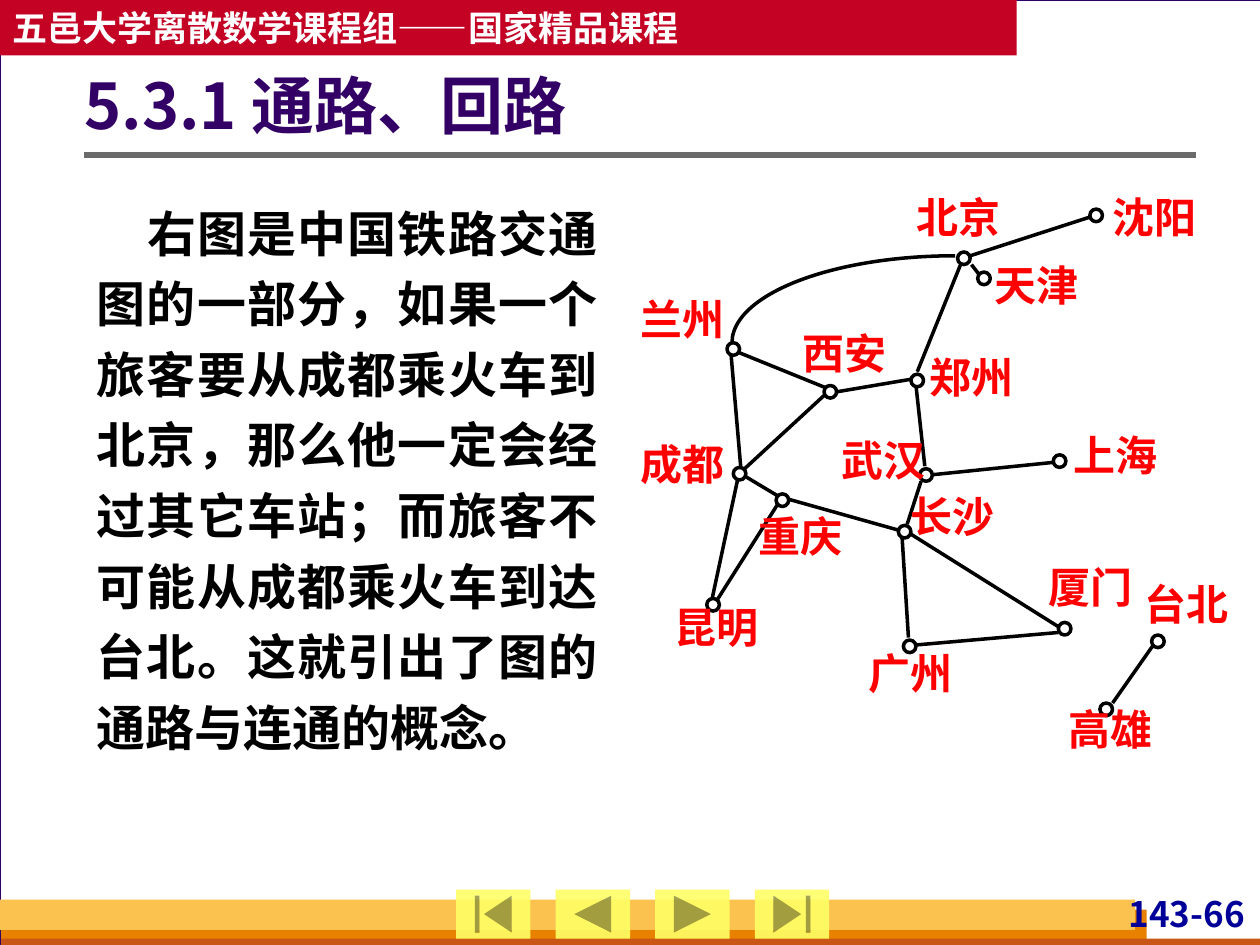
import lxml.etree
import pptx
import pptx.dml.color
import pptx.enum.shapes
import pptx.enum.text
import pptx.oxml.ns
import pptx.util

Inches = pptx.util.Inches
Pt = pptx.util.Pt
SHAPE = pptx.enum.shapes.MSO_SHAPE
ALIGN = pptx.enum.text.PP_ALIGN
ANCHOR = pptx.enum.text.MSO_ANCHOR
qn = pptx.oxml.ns.qn

COLORS = {
    "backdrop": "D8DADA", "white": "FFFFFF", "black": "000000",
    "purple": "330066", "banner": "C30224", "orange": "E88000",
    "rust": "C95616", "amber": "FCC24F", "navy": "000099",
    "rule": "6B6B6B", "button": "FFFF66", "city": "FF0000",
}


class SlidePainter:
    """Holds the shared style and the slide being drawn."""

    font = "Noto Sans CJK SC"
    node_size = 0.1
    route_width = 2

    def __init__(self, page):
        self.page = page

    def color(self, name):
        return pptx.dml.color.RGBColor.from_string(COLORS[name])

    def background(self, name):
        fill = self.page.background.fill
        fill.solid()
        fill.fore_color.rgb = self.color(name)

    def shape(self, kind, left, top, width, height, fill=None, line=None, weight=0.75):
        shape = self.page.shapes.add_shape(
            kind, Inches(left), Inches(top), Inches(width), Inches(height))
        shape.shadow.inherit = False
        if fill:
            shape.fill.solid()
            shape.fill.fore_color.rgb = self.color(fill)
        else:
            shape.fill.background()
        if line:
            shape.line.color.rgb = self.color(line)
            shape.line.width = Pt(weight)
        else:
            shape.line.fill.background()
        return shape

    def set_text(self, box, text, size, color, align=ALIGN.LEFT, anchor=ANCHOR.TOP,
                 margins=(0.1, 0.05, 0.1, 0.05), spacing=None, indent=0):
        frame = box.text_frame
        frame.word_wrap = True
        frame.vertical_anchor = anchor
        (frame.margin_left, frame.margin_top,
         frame.margin_right, frame.margin_bottom) = map(Inches, margins)
        para = frame.paragraphs[0]
        para.text = text
        para.alignment = align
        if spacing:
            para.line_spacing = spacing
        if indent:
            para._p.get_or_add_pPr().set("indent", str(Inches(indent)))
        para.font.size = Pt(size)
        para.font.bold = True
        para.font.color.rgb = self.color(color)
        para.font.name = self.font
        # East Asian glyphs need their own typeface entry
        east_asian = lxml.etree.SubElement(para._p.pPr.find(qn("a:defRPr")), qn("a:ea"))
        east_asian.set("typeface", self.font)

    def text(self, left, top, width, height, text, size, color, **style):
        box = self.page.shapes.add_textbox(
            Inches(left), Inches(top), Inches(width), Inches(height))
        self.set_text(box, text, size, color, **style)

    def line(self, x1, y1, x2, y2, color="black", weight=route_width):
        line = self.page.shapes.add_connector(
            pptx.enum.shapes.MSO_CONNECTOR.STRAIGHT,
            Inches(x1), Inches(y1), Inches(x2), Inches(y2))
        line.line.color.rgb = self.color(color)
        line.line.width = Pt(weight)
        lxml.etree.SubElement(line._element.spPr, qn("a:effectLst"))

    def button(self, kind, left):
        button = self.shape(kind, left, 7.06, 0.59, 0.39, "button")
        tint = button._element.spPr.find(qn("a:solidFill"))[0]
        lxml.etree.SubElement(tint, qn("a:alpha")).set("val", "90000")

    def node(self, left, top):
        self.shape(SHAPE.OVAL, left, top, self.node_size, self.node_size,
                   "white", "black", self.route_width)

    def city_label(self, name, left, top):
        self.text(left, top, 0.69, 0.49, name, 24, "city",
                  align=ALIGN.JUSTIFY, margins=(0, 0, 0, 0))

    def quarter_arc(self, left, top, width, height):
        arc = self.shape(SHAPE.ARC, left, top, width, height,
                         line="black", weight=self.route_width)
        # Angles in units of 0.6 per degree: 180 to 270 degrees
        arc.adjustments[0] = 108
        arc.adjustments[1] = 162


# City: (node left, node top), (label left, label top)
CITIES = {
    "成都": ((5.82, 3.71), (5.08, 3.48)),
    "重庆": ((6.16, 3.92), (6.02, 4.05)),
    "郑州": ((7.23, 2.97), (7.38, 2.79)),
    "西安": ((6.54, 3.06), (6.37, 2.6)),
    "北京": ((7.6, 2), (7.27, 1.52)),
    "长沙": ((7.13, 4.17), (7.23, 3.89)),
    "上海": ((8.36, 3.61), (8.52, 3.41)),
    "天津": ((7.76, 2.16), (7.89, 2.06)),
    "沈阳": ((8.65, 1.66), (8.83, 1.52)),
    "兰州": ((5.77, 2.72), (5.08, 2.33)),
    "广州": ((7.17, 5.08), (6.89, 5.14)),
    "昆明": ((5.61, 4.75), (5.35, 4.77)),
    "武汉": ((7.3, 3.72), (6.68, 3.45)),
    "厦门": ((8.4, 4.94), (8.32, 4.46)),
    "高雄": ((8.73, 5.58), (8.48, 5.58)),
    "台北": ((9.14, 5.04), (9.08, 4.59)),
}

# Railway sections: start x, start y, end x, end y
ROUTES = [
    (5.82, 2.78, 6.56, 3.08),  # 兰州–西安
    (5.88, 3.76, 6.18, 3.94),  # 成都–重庆
    (5.86, 3.78, 5.65, 4.76),  # 成都–昆明
    (6.18, 3.99, 5.68, 4.78),  # 重庆–昆明
    (6.55, 3.13, 5.91, 3.72),  # 西安–成都
    (5.8, 2.79, 5.88, 3.72),   # 兰州–成都
    (6.25, 3.96, 7.14, 4.21),  # 重庆–长沙
    (7.16, 4.27, 7.21, 5.06),  # 长沙–广州
    (6.64, 3.11, 7.23, 3.01),  # 西安–郑州
    (7.27, 3.06, 7.34, 3.7),   # 郑州–武汉
    (7.31, 3.82, 7.2, 4.16),   # 武汉–长沙
    (7.38, 3.77, 8.36, 3.67),  # 武汉–上海
    (7.64, 2.06, 7.28, 2.95),  # 北京–郑州
    (7.67, 2.04, 8.66, 1.72),  # 北京–沈阳
    (7.71, 2.1, 7.78, 2.19),   # 北京–天津
    (7.23, 4.24, 8.41, 4.98),  # 长沙–厦门
    (8.4, 5.02, 7.26, 5.12),   # 厦门–广州
    (9.16, 5.11, 8.83, 5.58),  # 台北–高雄
]

BUTTONS = [
    SHAPE.ACTION_BUTTON_BEGINNING, SHAPE.ACTION_BUTTON_BACK_OR_PREVIOUS,
    SHAPE.ACTION_BUTTON_FORWARD_OR_NEXT, SHAPE.ACTION_BUTTON_END,
]


def main():
    deck = pptx.Presentation()
    deck.slide_width, deck.slide_height = Inches(10), Inches(7.5)
    painter = SlidePainter(deck.slides.add_slide(deck.slide_layouts[6]))

    # Frame, banner and footer bars
    painter.background("backdrop")
    painter.shape(SHAPE.RECTANGLE, 0, 0, 10.01, 7.5, "white", "purple")
    banner = painter.shape(SHAPE.RECTANGLE, 0, 0, 8.07, 0.44, "banner")
    painter.set_text(banner, "五邑大学离散数学课程组——国家精品课程", 20, "white",
                     anchor=ANCHOR.MIDDLE)
    painter.shape(SHAPE.RECTANGLE, 0.01, 7.22, 9.09, 0.28, "orange")
    painter.shape(SHAPE.RECTANGLE, 0.01, 7.45, 10, 0.08, "rust")
    painter.shape(SHAPE.RECTANGLE, 0, 7.14, 9.01, 0.24, "amber")
    painter.text(8.7, 7.08, 1.22, 0.33, "143-66", 20, "navy",
                 align=ALIGN.RIGHT, margins=(0.04, 0, 0.04, 0))
    painter.line(0.67, 1.23, 9.49, 1.23, "rule", 3)

    # Navigation buttons at equal steps
    for index, kind in enumerate(BUTTONS):
        painter.button(kind, 3.62 + 0.79 * index)

    # Title and body text
    painter.text(0.67, 0.36, 8.82, 1.01, "5.3.1 通路、回路", 36, "purple",
                 anchor=ANCHOR.MIDDLE, margins=(0, 0.05, 0.1, 0.05), spacing=0.9)
    painter.text(0.67, 1.47, 4.17, 4.59,
                 "右图是中国铁路交通图的一部分，如果一个旅客要从成都乘火车到北京，"
                 "那么他一定会经过其它车站；而旅客不可能从成都乘火车到达台北。"
                 "这就引出了图的通路与连通的概念。",
                 28, "black", align=ALIGN.JUSTIFY, spacing=1.2, indent=0.4)

    # Railway map: sections, then stations, then names
    for route in ROUTES:
        painter.line(*route)
    painter.quarter_arc(5.81, 2.03, 3.54, 1.38)
    for node, _ in CITIES.values():
        painter.node(*node)
    for name, (_, label) in CITIES.items():
        painter.city_label(name, *label)

    deck.save("out.pptx")


if __name__ == "__main__":
    main()
